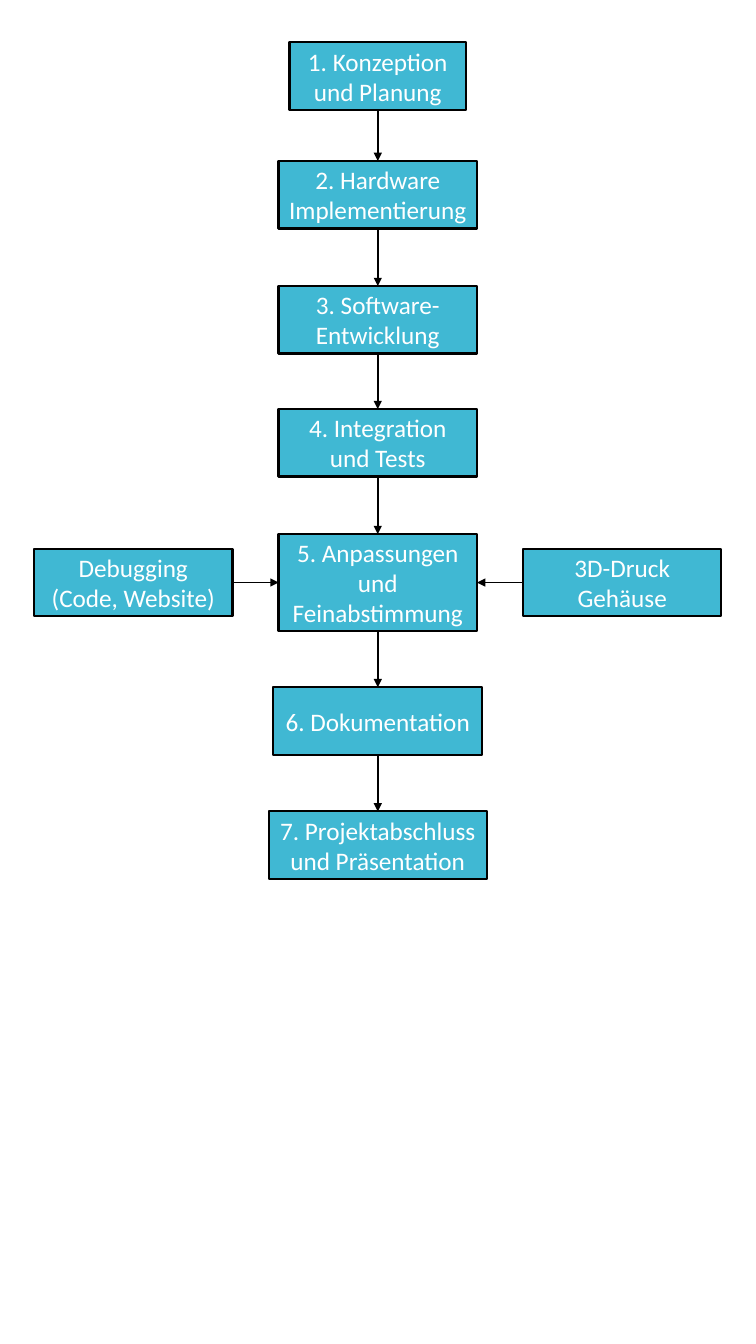
from dataclasses import dataclass
from itertools import pairwise

from lxml import etree
from pptx import Presentation
from pptx.dml.color import RGBColor
from pptx.enum.shapes import MSO_CONNECTOR, MSO_SHAPE
from pptx.enum.text import MSO_ANCHOR, PP_ALIGN
from pptx.oxml.ns import qn
from pptx.shapes.autoshape import Shape
from pptx.slide import Slide
from pptx.util import Cm, Pt

PROCESS = MSO_SHAPE.FLOWCHART_PROCESS
STRAIGHT = MSO_CONNECTOR.STRAIGHT
MIDDLE = MSO_ANCHOR.MIDDLE
CENTER = PP_ALIGN.CENTER
TOP, LEFT, BOTTOM, RIGHT = range(4)  # connection sites of a box
BLANK = 6


@dataclass(frozen=True)
class Theme:
    """Colours, type and line widths of the slide."""
    fill: RGBColor = RGBColor(0x40, 0xB8, 0xD3)
    line: RGBColor = RGBColor(0, 0, 0)
    text: RGBColor = RGBColor(255, 255, 255)
    font: str = "Calibri"
    size: int = 18
    bold: float = 1.5
    thin: float = 0.5


@dataclass(frozen=True)
class Step:
    """A box of the flow, in centimetres, centred on mid."""
    text: str
    top: float
    width: float = 5.0
    height: float = 1.7
    mid: float = 9.52


THEME = Theme()
AXIS = Step.mid
SIDE = 6.16  # distance of the side boxes from the axis
MAIN = 4  # index of the step that the side boxes feed

STEPS = [
    Step("1. Konzeption und Planung", 1.07, width=4.45),
    Step("2. Hardware Implementierung", 4.06),
    Step("3. Software-Entwicklung", 7.21),
    Step("4. Integration und Tests", 10.31),
    Step("5. Anpassungen und Feinabstimmung", 13.46, height=2.44),
    Step("6. Dokumentation", 17.32, width=5.26),
    Step("7. Projektabschluss und Präsentation", 20.45, width=5.5),
]
INPUTS = [
    (Step("Debugging (Code, Website)", 13.83, mid=AXIS - SIDE), RIGHT, LEFT),
    (Step("3D-Druck Gehäuse", 13.83, mid=AXIS + SIDE), LEFT, RIGHT),
]


def add_box(slide: Slide, step: Step) -> Shape:
    """Draw one step as a process box."""
    box = slide.shapes.add_shape(
        PROCESS, Cm(step.mid - step.width / 2), Cm(step.top),
        Cm(step.width), Cm(step.height))
    box.shadow.inherit = False
    box.fill.solid()
    box.fill.fore_color.rgb = THEME.fill
    box.line.color.rgb = THEME.line
    box.line.width = Pt(THEME.bold)
    frame = box.text_frame
    frame.text = step.text
    frame.word_wrap = True
    frame.vertical_anchor = MIDDLE
    para = frame.paragraphs[0]
    para.alignment = CENTER
    font = para.runs[0].font
    font.name = THEME.font
    font.size = Pt(THEME.size)
    font.color.rgb = THEME.text
    return box


def add_arrow(slide: Slide, start: Shape, exit: int,
              end: Shape, entry: int, width: float) -> None:
    """Join two boxes with an arrow glued to their sites."""
    arrow = slide.shapes.add_connector(STRAIGHT, 0, 0, 0, 0)
    arrow.begin_connect(start, exit)
    arrow.end_connect(end, entry)
    arrow.line.color.rgb = THEME.line
    arrow.line.width = Pt(width)
    props = arrow.line._get_or_add_ln()
    etree.SubElement(props, qn("a:tailEnd"), type="triangle")
    etree.SubElement(arrow._element.spPr, qn("a:effectLst"))


def build() -> None:
    """Build the flow chart and save it."""
    deck = Presentation()
    deck.slide_width, deck.slide_height = Cm(19.05), Cm(33.87)
    slide = deck.slides.add_slide(deck.slide_layouts[BLANK])
    boxes = [add_box(slide, step) for step in STEPS]
    for upper, lower in pairwise(boxes):
        add_arrow(slide, upper, BOTTOM, lower, TOP, THEME.bold)
    for step, exit, entry in INPUTS:
        box = add_box(slide, step)
        add_arrow(slide, box, exit, boxes[MAIN], entry, THEME.thin)
    deck.save("out.pptx")


build()
